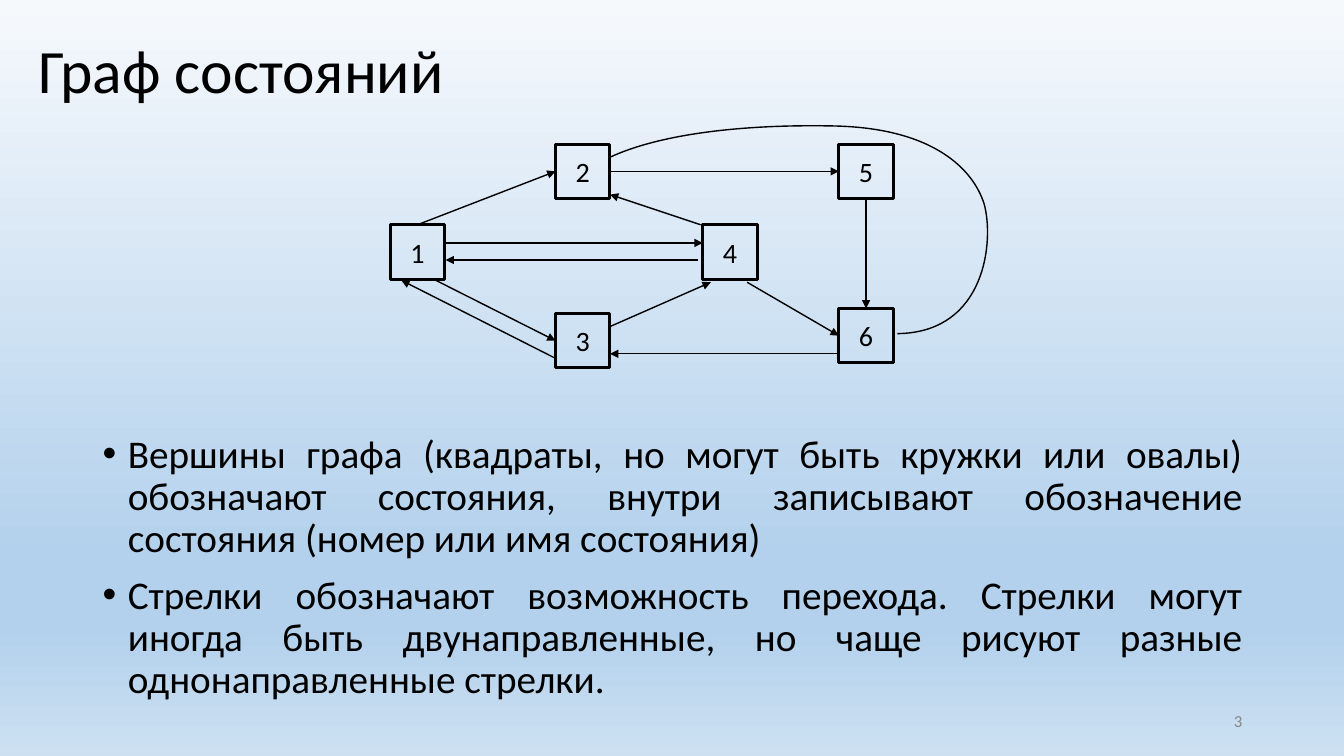
from copy import deepcopy
from pptx import Presentation
from pptx.dml.color import RGBColor as Rgb
from pptx.enum.shapes import MSO_CONNECTOR as Conn, MSO_SHAPE as Shape
from pptx.enum.text import MSO_ANCHOR as Anchor, PP_ALIGN as Align
from pptx.oxml.ns import qn
from pptx.oxml.xmlchemy import OxmlElement as Node
from pptx.util import Pt

PX = 9144
SIDE = 54
TOP, LEFT, BASE, RIGHT = range(4)
HUES = {"ink": "000000", "page": "888888", "pale": "F6F9FC",
        "sky": "B3D1EC", "mist": "CCE0F2"}
STOPS = [(0, "pale"), (0.74, "sky"), (0.83, "sky"), (1, "mist")]
STATES = {"1": (387, 223), "2": (551, 143), "3": (551, 311),
          "4": (697, 223), "5": (832, 143), "6": (832, 306)}
MOVES = [
    ((414, 223), (551, 170), ("1", TOP), ("2", LEFT)),
    ((442, 241), (697, 241), None, None),
    ((605, 170), (832, 170), ("2", RIGHT), ("5", LEFT)),
    ((430, 277), (551, 338), None, ("3", LEFT)),
    ((605, 324), (705, 280), None, None),
    ((741, 280), (832, 333), None, ("6", LEFT)),
    ((859, 197), (859, 306), ("5", BASE), ("6", TOP)),
    ((832, 351), (605, 351), None, None),
    ((692, 258), (442, 258), None, None),
    ((695, 223), (605, 193), None, None),
    ((550, 355), (398, 278), None, None),
]
ARC = [(605, 156), (650, 135), (727, 123), (827, 125), (926, 127), (965, 168),
       (976, 202), (986, 237), (979, 330), (890, 331)]
NOTES = [
    "Вершины графа (квадраты, но могут быть кружки или овалы) обозначают "
    "состояния, внутри записывают обозначение состояния (номер или имя состояния)",
    "Стрелки обозначают возможность перехода. Стрелки могут иногда быть "
    "двунаправленные, но чаще рисуют разные однонаправленные стрелки.",
]


def px(*nums):
    """Turn px lengths into EMU."""
    return [num * PX for num in nums]


def hue(name):
    """Look up a colour."""
    return Rgb.from_string(HUES[name])


def write(para, text, size, align, tone="ink"):
    """Add one run to a paragraph."""
    para.alignment = align
    run = para.add_run()
    run.text = text
    run.font.name, run.font.size = "Calibri", Pt(size)
    run.font.color.rgb = hue(tone)


def ink(line, width):
    """Colour a line and set its width."""
    line.color.rgb = hue("ink")
    line.width = Pt(width)


def paint(slide):
    """Fill the background with the vertical gradient."""
    fill = slide.background.fill
    fill.gradient()
    fill.gradient_angle = 270
    stops = slide._element.find(".//" + qn("a:gsLst"))
    for _ in range(len(STOPS) - len(stops)):
        stops.append(deepcopy(stops[0]))
    for stop, (place, tone) in zip(fill.gradient_stops, STOPS):
        stop.position = place
        stop.color.rgb = hue(tone)


def head(slide, text):
    """Place and write the title."""
    title = slide.shapes.title
    title.left, title.top, title.width, title.height = px(28, 0, 1278, 145)
    title.text_frame.vertical_anchor = Anchor.MIDDLE
    para = title.text_frame.paragraphs[0]
    para.line_spacing = 0.9
    write(para, text, 44, Align.LEFT)


def state(slide, name, spot):
    """Draw one numbered square of the graph."""
    box = slide.shapes.add_shape(Shape.RECTANGLE, *px(*spot, SIDE, SIDE))
    box.shadow.inherit = False
    box.fill.background()
    ink(box.line, 2.25)
    frame = box.text_frame
    frame.margin_left = frame.margin_right = 0
    frame.vertical_anchor = Anchor.MIDDLE
    write(frame.paragraphs[0], name, 20, Align.CENTER)
    return box


def arrow(slide, boxes, start, end, tail, tip):
    """Draw one transition, joined to squares where it meets a side's middle."""
    line = slide.shapes.add_connector(Conn.STRAIGHT, *px(*start, *end))
    if tail:
        line.begin_connect(boxes[tail[0]], tail[1])
    if tip:
        line.end_connect(boxes[tip[0]], tip[1])
    ink(line.line, 1)
    mark = Node("a:tailEnd")
    mark.set("type", "triangle")
    line.line._get_or_add_ln().append(mark)
    line._element.spPr.append(Node("a:effectLst"))


def curve(slide, spots):
    """Draw a smooth outline from Bezier points."""
    form = slide.shapes.build_freeform(*spots[0], scale=PX)
    form.add_line_segments(spots[1:], close=False)
    shape = form.convert_to_shape()
    shape.shadow.inherit = False
    shape.fill.background()
    ink(shape.line, 1)
    legs = list(shape._element.iter(qn("a:lnTo")))
    for pos in range(0, len(legs), 3):
        bend = Node("a:cubicBezTo")
        legs[pos].addprevious(bend)
        for leg in legs[pos:pos + 3]:
            bend.append(leg[0])
            leg.getparent().remove(leg)


def notes(slide, texts):
    """Write the bulleted list."""
    frame = slide.shapes.add_textbox(*px(92, 426, 1150, 295)).text_frame
    frame.word_wrap = True
    for pos, text in enumerate(texts):
        para = frame.add_paragraph() if pos else frame.paragraphs[0]
        para.line_spacing = 0.9
        para.space_before = Pt(10 if pos else 0)
        write(para, text, 28, Align.JUSTIFY)
        props = para._p.get_or_add_pPr()
        props.set("marL", str(25 * PX))
        props.set("indent", str(-25 * PX))
        for tag, key, val in (("a:buFont", "typeface", "Arial"),
                              ("a:buChar", "char", "•")):
            node = Node(tag)
            node.set(key, val)
            props.append(node)


def page(slide, num):
    """Write the page number."""
    frame = slide.shapes.add_textbox(*px(942, 695, 300, 40)).text_frame
    frame.word_wrap = True
    frame.vertical_anchor = Anchor.MIDDLE
    write(frame.paragraphs[0], num, 12, Align.RIGHT, "page")


def main():
    """Build and save the slide."""
    deck = Presentation()
    deck.slide_width, deck.slide_height = px(1333, 750)
    slide = deck.slides.add_slide(deck.slide_layouts[5])
    paint(slide)
    head(slide, "Граф состояний")
    notes(slide, NOTES)
    boxes = {name: state(slide, name, spot) for name, spot in STATES.items()}
    for move in MOVES:
        arrow(slide, boxes, *move)
    curve(slide, ARC)
    page(slide, "3")
    deck.save("out.pptx")


if __name__ == "__main__":
    main()
